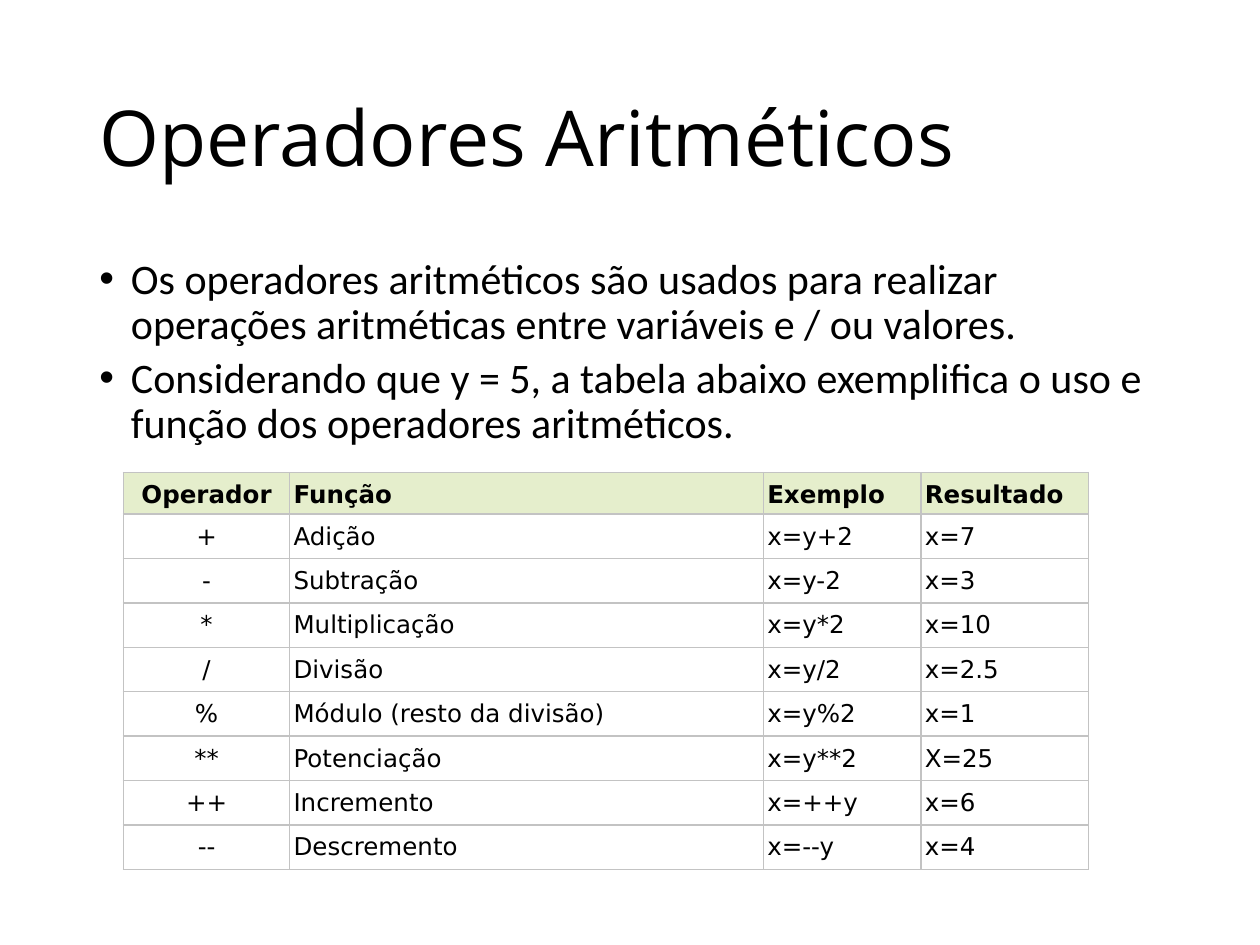
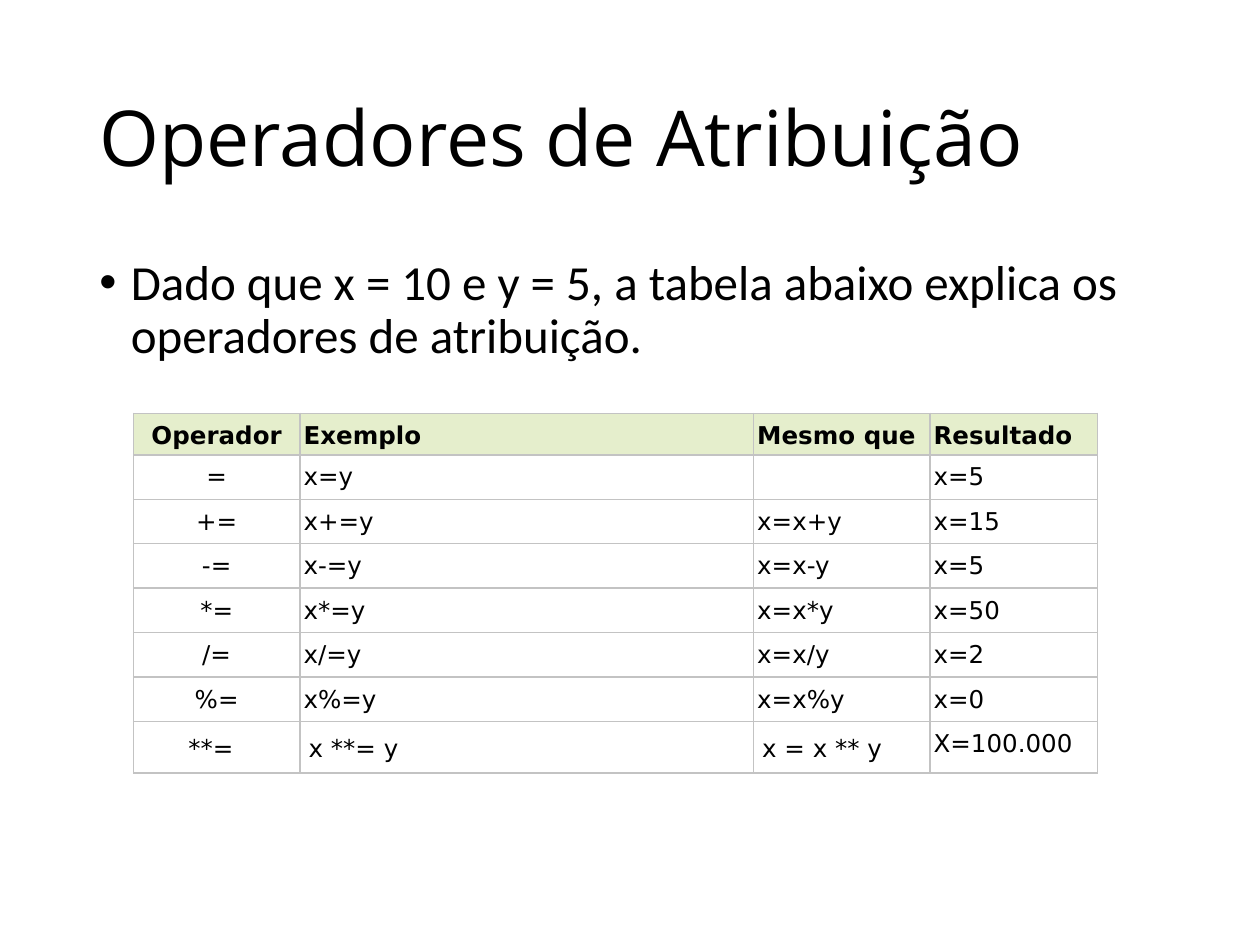
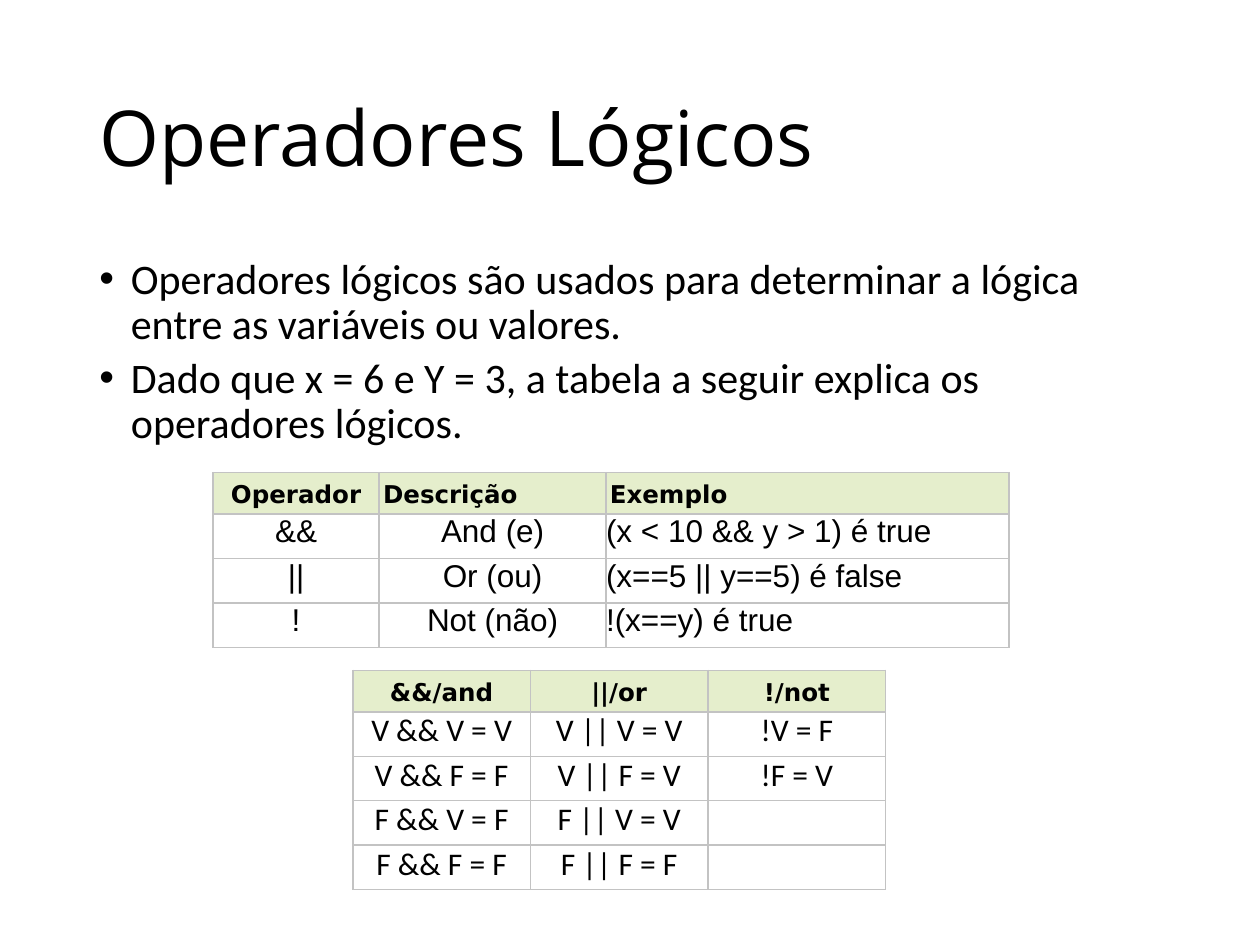
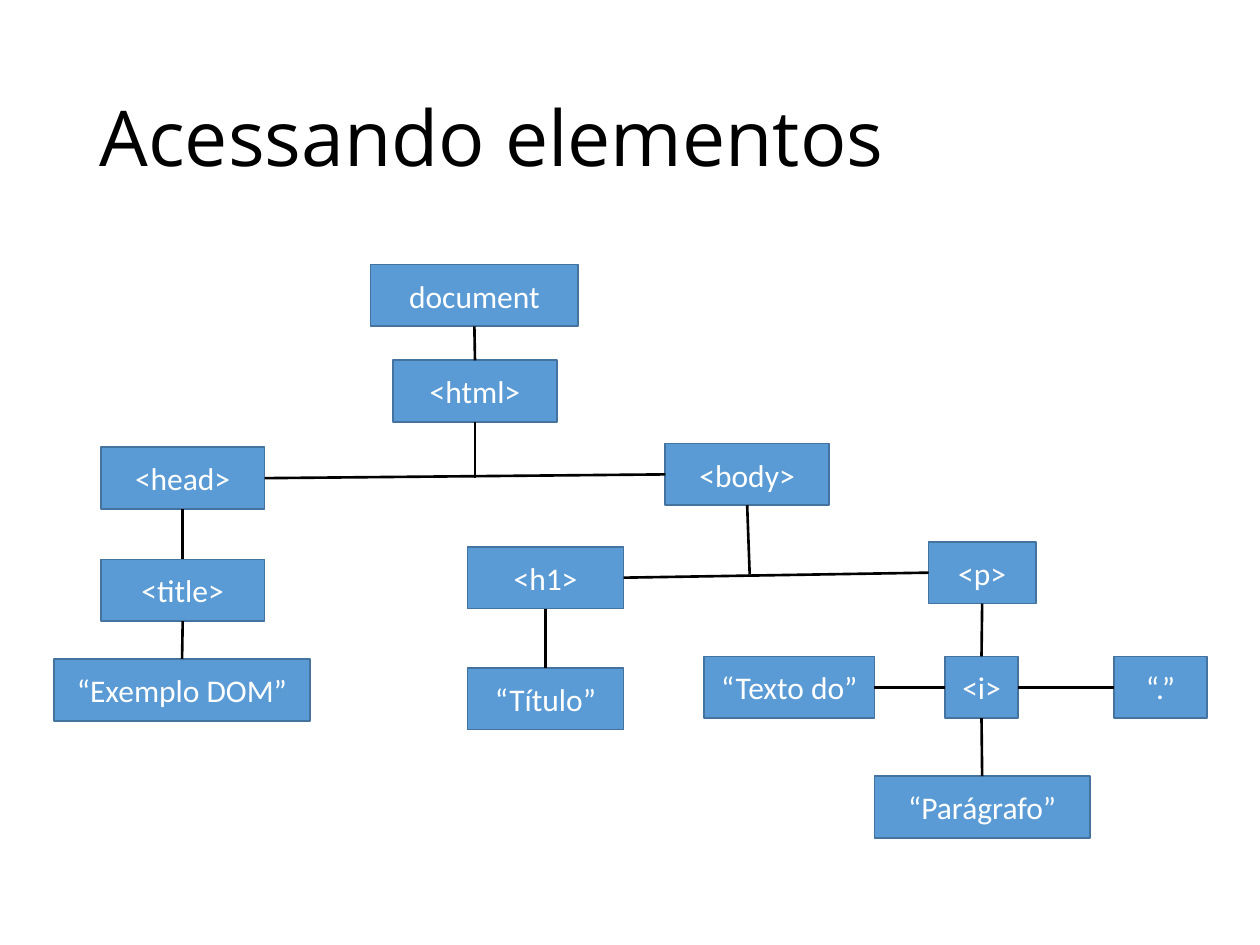
"""Build four slides on script operators and the document tree."""
from lxml.etree import SubElement
from pptx import Presentation
from pptx.dml.color import RGBColor
from pptx.enum.shapes import MSO_CONNECTOR, MSO_SHAPE
from pptx.enum.text import MSO_ANCHOR, PP_ALIGN
from pptx.oxml.ns import qn
from pptx.util import Inches, Pt

BLACK, WHITE = "000000", "FFFFFF"
BLUE, NAVY = "5B9BD5", "43739E"
GREEN, GRAY = "E5EECC", "C3C3C3"
LEFT, MID = PP_ALIGN.LEFT, PP_ALIGN.CENTER
TOP, WEST, BASE, EAST = range(4)
HEAD = 0.33
SIDES = ("left", "right", "top", "bottom")

TITLE = {"name": "Open Sans", "size": Pt(44), "bold": False}
BODY = {"name": "Calibri", "size": Pt(24)}
LARGE = {**BODY, "size": Pt(28)}
NODE = {"name": "Calibri", "size": Pt(18)}
CELL = {"name": "DejaVu Sans", "size": Pt(14), "bold": False}
TOPROW = {**CELL, "bold": True}
ARIAL = {"name": "Arial", "size": Pt(18), "bold": False}
PLAIN = {**ARIAL, "name": "Calibri"}
TIGHT = {"line_spacing": 0.9, "alignment": LEFT}

MATH = [
    ("Operador", "Função", "Exemplo", "Resultado"),
    ("+", "Adição", "x=y+2", "x=7"),
    ("-", "Subtração", "x=y-2", "x=3"),
    ("*", "Multiplicação", "x=y*2", "x=10"),
    ("/", "Divisão", "x=y/2", "x=2.5"),
    ("%", "Módulo (resto da divisão)", "x=y%2", "x=1"),
    ("**", "Potenciação", "x=y**2", "X=25"),
    ("++", "Incremento", "x=++y", "x=6"),
    ("--", "Descremento", "x=--y", "x=4"),
]
ASSIGN = [
    ("Operador", "Exemplo", "Mesmo que", "Resultado"),
    ("=", "x=y", "", "x=5"),
    ("+=", "x+=y", "x=x+y", "x=15"),
    ("-=", "x-=y", "x=x-y", "x=5"),
    ("*=", "x*=y", "x=x*y", "x=50"),
    ("/=", "x/=y", "x=x/y", "x=2"),
    ("%=", "x%=y", "x=x%y", "x=0"),
    ("**=", "x **= y", "x = x ** y", "X=100.000"),
]
LOGIC = [
    ("Operador", "Descrição", "Exemplo"),
    ("&&", "And (e)", "(x < 10 && y > 1) é true"),
    ("||", "Or (ou)", "(x==5 || y==5) é false"),
    ("!", "Not (não)", "!(x==y) é true"),
]
TRUTH = [
    ("&&/and", "||/or", "!/not"),
    ("V && V = V", "V || V = V", "!V = F"),
    ("V && F = F", "V || F = V", "!F = V"),
    ("F && V = F", "F || V = V", ""),
    ("F && F = F", "F || F = F", ""),
]
NODES = [
    ("document", 2.94, 2.1, 1.65),
    ("<html>", 3.12, 2.86, 1.3),
    ("<head>", 0.8, 3.55, 1.3),
    ("<body>", 5.28, 3.52, 1.3),
    ("<title>", 0.8, 4.44, 1.3),
    ("“Exemplo DOM”", 0.43, 5.23, 2.03),
    ("<h1>", 3.71, 4.34, 1.24),
    ("<p>", 7.37, 4.3, 0.85),
    ("“Título”", 3.71, 5.3, 1.24),
    ("“Texto do”", 5.59, 5.21, 1.35),
    ("<i>", 7.5, 5.21, 0.58),
    ("“.”", 8.84, 5.21, 0.74),
    ("“Parágrafo”", 6.94, 6.16, 1.71),
]
LINKS = [
    ("document", BASE, "<html>", TOP),
    ("<head>", EAST, "<body>", WEST),
    ("<head>", BASE, "<title>", TOP),
    ("<title>", BASE, "“Exemplo DOM”", TOP),
    ("<h1>", EAST, "<p>", WEST),
    ("<h1>", BASE, "“Título”", TOP),
    ("“Texto do”", EAST, "<i>", WEST),
    ("<i>", EAST, "“.”", WEST),
    ("<p>", BASE, "<i>", TOP),
    ("<i>", BASE, "“Parágrafo”", TOP),
]
DROPS = [("<html>", 3.77, 3.79), ("<body>", 5.95, 4.56)]


def tint(code):
    """Turn a hex string into a colour."""
    return RGBColor.from_string(code)


def apply(target, values):
    """Set each named value on the target."""
    for name, value in values.items():
        setattr(target, name, value)


def write(para, text, font, color=BLACK, **form):
    """Put one formatted run into a paragraph."""
    apply(para, form)
    run = para.add_run()
    run.text = text
    apply(run.font, font)
    run.font.color.rgb = tint(color)


def place(shape, *box):
    """Move and size a shape in inches."""
    apply(shape, dict(zip(("left", "top", "width", "height"), map(Inches, box))))


def start(deck, title):
    """Add a slide with its title."""
    slide = deck.slides.add_slide(deck.slide_layouts[5])
    shape = slide.shapes.title
    place(shape, 0.69, 0.4, 8.62, 1.45)
    shape.text_frame.vertical_anchor = MSO_ANCHOR.MIDDLE
    write(shape.text_frame.paragraphs[0], title, TITLE, **TIGHT)
    return slide


def list_points(slide, lines, font=BODY, gap=4.8):
    """Add a text box of bulleted lines."""
    frame = slide.shapes.add_textbox(*map(Inches, (0.69, 2, 8.62, 4.76))).text_frame
    frame.word_wrap = True
    for i, line in enumerate(lines):
        para = frame.add_paragraph() if i else frame.paragraphs[0]
        write(para, line, font, space_before=Pt(gap), **TIGHT)
        props = para._p.get_or_add_pPr()
        props.set("marL", str(Inches(0.25)))
        props.set("indent", str(-Inches(0.25)))
        SubElement(props, qn("a:buFont")).set("typeface", "Arial")
        SubElement(props, qn("a:buChar")).set("char", "•")


def pad(cell, *gaps):
    """Set left, right, top and bottom cell margins."""
    apply(cell, {f"margin_{side}": Inches(gap) for side, gap in zip(SIDES, gaps)})


def edge(cell):
    """Draw the four borders of a cell."""
    props = cell._tc.get_or_add_tcPr()
    for side in "LRTB":
        line = SubElement(props, qn(f"a:ln{side}"), w=str(Pt(1)))
        fill = SubElement(line, qn("a:solidFill"))
        SubElement(fill, qn("a:srgbClr"), val=GRAY)


def fill_cell(cell, text, font, align, head, gap, space):
    """Format one cell and write its text."""
    edge(cell)
    pad(cell, *[gap if text else 0] * 4)
    if head:
        cell.fill.solid()
        cell.fill.fore_color.rgb = tint(GREEN)
    else:
        cell.fill.background()
    if text:
        write(cell.text_frame.paragraphs[0], text, font, alignment=align, line_spacing=space)


def add_grid(slide, rows, box, widths, mids=(0,), heads=(0,), font=CELL, gap=0.03, space=1.15):
    """Add a table with a green head row."""
    grid = slide.shapes.add_table(len(rows), len(widths), *map(Inches, box)).table
    apply(grid, {"first_row": False, "horz_banding": False})
    for col, width in zip(grid.columns, widths):
        col.width = Inches(width)
    step = (box[3] - HEAD) / (len(rows) - 1)
    for r, row in enumerate(rows):
        grid.rows[r].height = Inches(step if r else HEAD)
        look = (font, gap, space) if r else (TOPROW, 0.03, 1.15)
        for c, text in enumerate(row):
            align = MID if c in (mids if r else heads) else LEFT
            fill_cell(grid.cell(r, c), text, look[0], align, not r, *look[1:])
    return grid


def add_node(group, text, left, top, width):
    """Add one box of the tree."""
    node = group.shapes.add_shape(MSO_SHAPE.RECTANGLE, *map(Inches, (left, top, width, 0.49)))
    node.shadow.inherit = False
    node.fill.solid()
    node.fill.fore_color.rgb = tint(BLUE)
    node.line.color.rgb = tint(NAVY)
    node.line.width = Pt(1)
    node.text_frame.vertical_anchor = MSO_ANCHOR.MIDDLE
    write(node.text_frame.paragraphs[0], text, NODE, WHITE, alignment=MID)
    return node


def add_link(group, first, side, x=0, y=0):
    """Start a line at one side of a box and end it at a point."""
    link = group.shapes.add_connector(MSO_CONNECTOR.STRAIGHT, 0, 0, Inches(x), Inches(y))
    link.begin_connect(first, side)
    link.line.color.rgb = tint(BLACK)
    link.line.width = Pt(1.5)
    SubElement(link._element.spPr, qn("a:effectLst"))
    return link


def draw_tree(slide):
    """Draw the document tree as one group."""
    group = slide.shapes.add_group_shape()
    nodes = {node[0]: add_node(group, *node) for node in NODES}
    for first, side, last, end in LINKS:
        add_link(group, nodes[first], side).end_connect(nodes[last], end)
    for name, x, y in DROPS:
        add_link(group, nodes[name], BASE, x, y)


def main():
    """Build and save the deck."""
    deck = Presentation()
    apply(deck, {"slide_width": Inches(10), "slide_height": Inches(7.5)})

    slide = start(deck, "Operadores Aritméticos")
    list_points(slide, [
        "Os operadores aritméticos são usados para realizar operações aritméticas "
        "entre variáveis e / ou valores.",
        "Considerando que y = 5, a tabela abaixo exemplifica o uso e função dos "
        "operadores aritméticos.",
    ])
    add_grid(slide, MATH, (0.98, 3.75, 7.66, 3.15), (1.32, 3.76, 1.25, 1.33))

    slide = start(deck, "Operadores de Atribuição")
    list_points(slide, [
        "Dado que x = 10 e y = 5, a tabela abaixo explica os operadores de atribuição.",
    ], LARGE, 10)
    grid = add_grid(slide, ASSIGN, (1.06, 3.28, 7.66, 2.8), (1.32, 3.6, 1.4, 1.33))
    for col, right in enumerate((0.16, 0.07, 0.07)):
        pad(grid.cell(7, col), 0.07, right, 0.07, 0.07)

    slide = start(deck, "Operadores Lógicos")
    list_points(slide, [
        "Operadores lógicos são usados para determinar a lógica entre as variáveis ou valores.",
        "Dado que x = 6 e Y = 3, a tabela a seguir explica os operadores lógicos.",
    ])
    add_grid(slide, LOGIC, (1.69, 3.75, 6.32, 1.39), (1.32, 1.8, 3.2),
             mids=(0, 1), font=ARIAL, gap=0, space=1.0)
    add_grid(slide, TRUTH, (2.8, 5.32, 4.22, 1.74), [1.41] * 3,
             mids=range(3), heads=range(3), font=PLAIN, gap=0, space=1.0)

    draw_tree(start(deck, "Acessando elementos"))
    deck.save("out.pptx")


if __name__ == "__main__":
    main()
